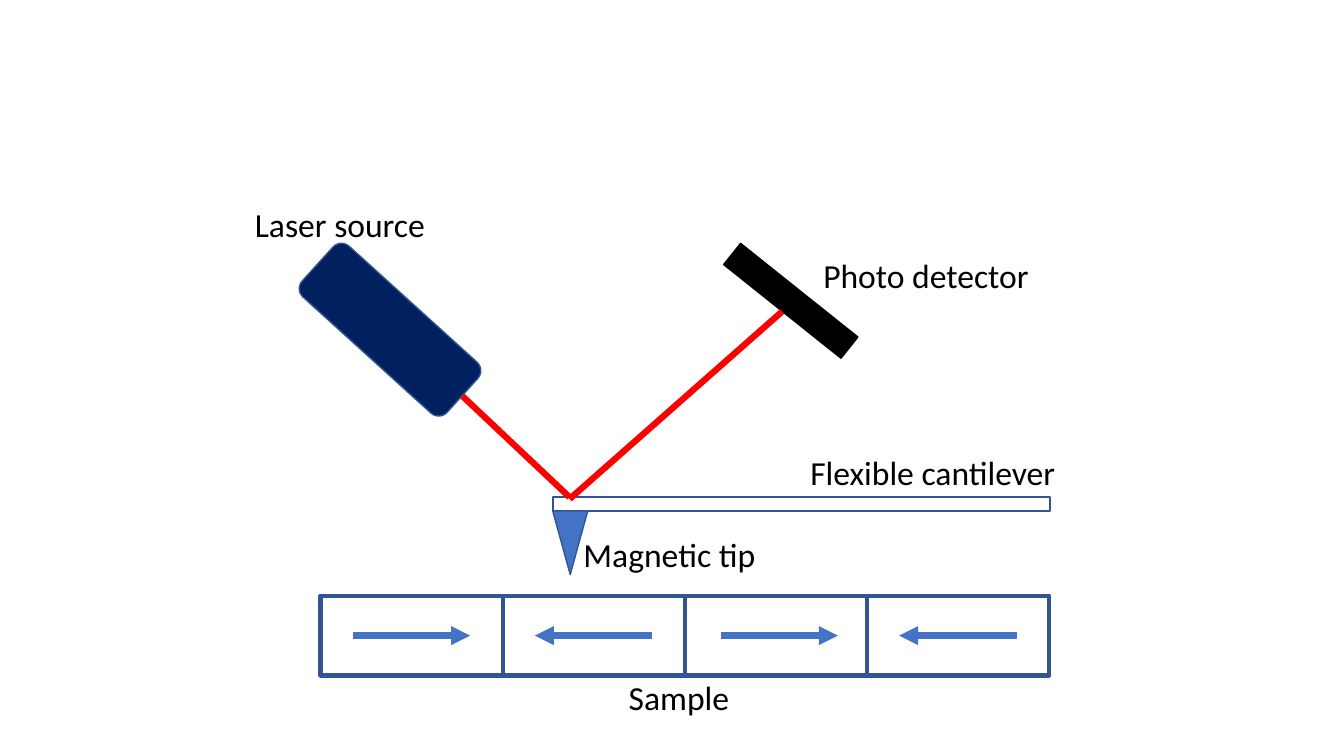
"""Build a slide showing how a magnetic force microscope reads a sample."""
from lxml.etree import SubElement
from pptx import Presentation
from pptx.dml.color import RGBColor
from pptx.enum.shapes import MSO_CONNECTOR, MSO_SHAPE
from pptx.oxml.ns import qn
from pptx.util import Pt

THEME = {
    "outline": RGBColor(0x32, 0x54, 0x91),
    "accent": RGBColor(0x44, 0x72, 0xC4),
    "laser": RGBColor(0x00, 0x20, 0x60),
    "beam": RGBColor(0xFF, 0x00, 0x00),
    "black": RGBColor(0x00, 0x00, 0x00),
    "font": "Calibri",
    "label": Pt(24),
}

prs = Presentation()
prs.slide_width, prs.slide_height = Pt(960), Pt(540)
s = prs.slides.add_slide(prs.slide_layouts[6])


def add_part(kind, x, y, w, h, fill=None, line="outline", weight=1, angle=0):
    """Add one shape of the apparatus, unfilled unless a fill is named."""
    sp = s.shapes.add_shape(kind, Pt(x), Pt(y), Pt(w), Pt(h))
    sp.shadow.inherit = False
    sp.rotation = angle
    if fill:
        sp.fill.solid()
        sp.fill.fore_color.rgb = THEME[fill]
    else:
        sp.fill.background()
    sp.line.color.rgb = THEME[line]
    sp.line.width = Pt(weight)
    return sp


def add_line(x1, y1, x2, y2, color):
    """Add a thick straight line without a shadow."""
    cx = s.shapes.add_connector(MSO_CONNECTOR.STRAIGHT, Pt(x1), Pt(y1), Pt(x2), Pt(y2))
    cx.line.color.rgb = THEME[color]
    cx.line.width = Pt(4.5)
    SubElement(cx._element.spPr, qn("a:effectLst"))
    return cx


left, top, width, height = 229, 425.5, 130.1, 57
for i in range(4):
    add_part(MSO_SHAPE.RECTANGLE, left + i * width, top, width, height, weight=3)

for i, inset in enumerate((23, 23, 25.5, 23)):
    x1 = left + i * width + inset
    x2 = x1 + 83.8
    if i % 2:
        x1, x2 = x2, x1
    arrow = add_line(x1, top + height / 2, x2, top + height / 2, "accent")
    SubElement(arrow.line._get_or_add_ln(), qn("a:tailEnd"), type="triangle")

add_part(MSO_SHAPE.RECTANGLE, 394.8, 355.2, 355, 9.6, weight=1.5)
add_part(MSO_SHAPE.ISOSCELES_TRIANGLE, 394.8, 365, 25, 45.4, "accent", angle=180)
laser = add_part(MSO_SHAPE.ROUNDED_RECTANGLE, 208.8, 211, 139.7, 49, "laser", angle=42.2)
detector = add_part(MSO_SHAPE.RECTANGLE, 511.2, 205.2, 107.3, 19.4, "black", "black", angle=38.6)

for part, site, x, y, end_y in ((laser, 3, 330.4, 283, 355.2), (detector, 2, 558.7, 222.5, 356.4)):
    beam = add_line(x, y, 406.9, end_y, "beam")
    beam.begin_connect(part, site)
    beam.begin_x, beam.begin_y = Pt(x), Pt(y)

for text, x, y, w in (
    ("Photo detector", 581, 178.6, 161.3),
    ("Laser source", 175, 141.8, 161.3),
    ("Flexible cantilever", 571.7, 319, 190.8),
    ("Magnetic tip", 409.7, 378, 190.8),
    ("Sample", 442, 480.2, 93.6),
):
    tf = s.shapes.add_textbox(Pt(x), Pt(y), Pt(w), Pt(36)).text_frame
    tf.word_wrap = True
    r = tf.paragraphs[0].add_run()
    r.text = text
    r.font.name = THEME["font"]
    r.font.size = THEME["label"]
    r.font.color.rgb = THEME["black"]

prs.save("out.pptx")
